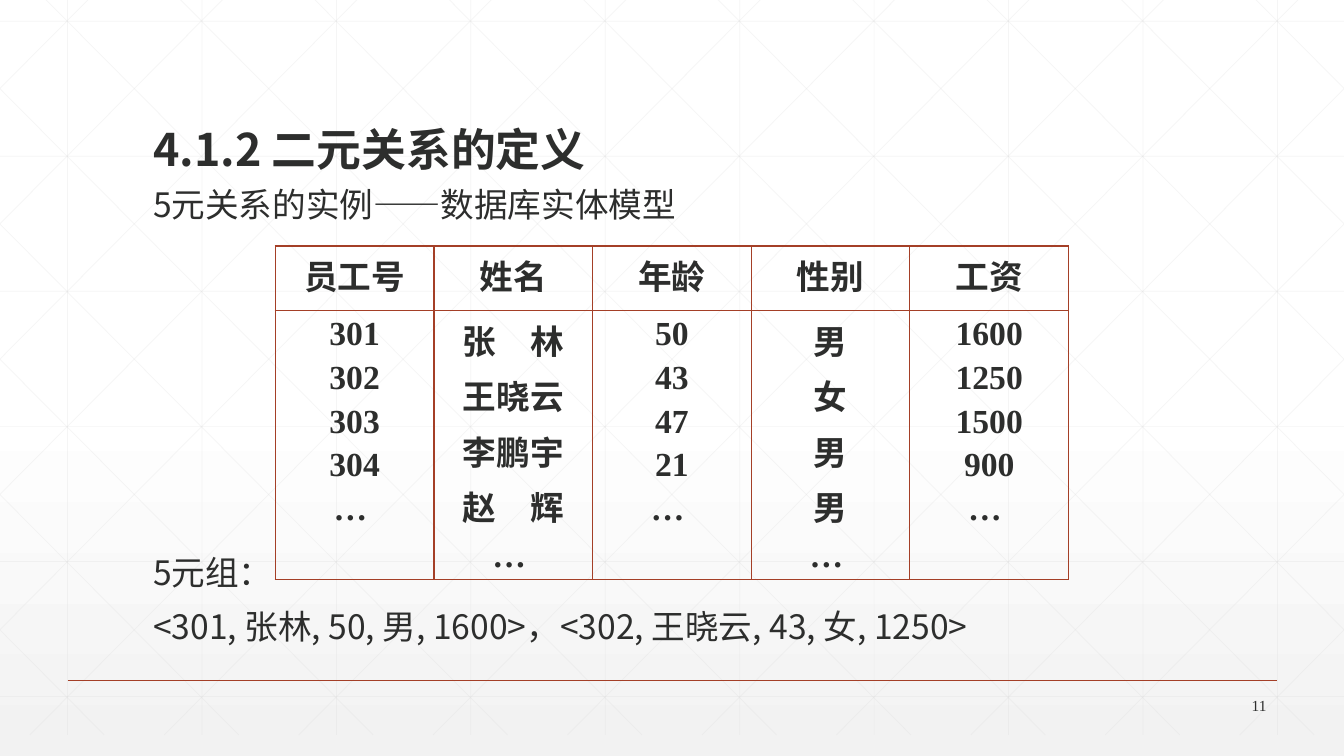
from copy import deepcopy

from lxml.etree import SubElement
from pptx import Presentation
from pptx.dml.color import RGBColor
from pptx.enum.shapes import MSO_CONNECTOR as Connector
from pptx.enum.text import MSO_ANCHOR as Anchor, PP_ALIGN as Align
from pptx.oxml.ns import qn
from pptx.util import Inches, Pt

INK, RUST, GRID = "2D2E2D", "A43F27", "D9D9D9"
SANS, SERIF = "Noto Sans CJK SC", "Times New Roman"


def add_line(x1, y1, x2, y2, color, width):
    line = page.shapes.add_connector(
        Connector.STRAIGHT, Inches(x1), Inches(y1), Inches(x2), Inches(y2))
    line.line.color.rgb = RGBColor.from_string(color)
    line.line.width = Pt(width)
    SubElement(line._element.spPr, qn("a:effectLst"))
    return line


def add_span(para, text, size, font, bold=False):
    """Add one run, with Chinese characters always in the sans font."""
    span = para.add_run()
    span.text = text
    span.font.size = Pt(size)
    span.font.bold = bold
    span.font.color.rgb = RGBColor.from_string(INK)
    span.font.name = font
    SubElement(span._r.rPr, qn("a:ea"), typeface=SANS)


deck = Presentation()
deck.slide_width, deck.slide_height = Inches(13.33), Inches(7.5)
page = deck.slides.add_slide(deck.slide_layouts[6])

# Background: white, fading to light grey at the bottom
backdrop = page.background.fill
backdrop.gradient()
backdrop.gradient_angle = 270
first_stop = next(page._element.iter(qn("a:gs")))
first_stop.addnext(deepcopy(first_stop))
for stop, (position, color) in zip(
        backdrop.gradient_stops, [(0, "FFFFFF"), (0.53, "FFFFFF"), (1, "F2F2F2")]):
    stop.position = position
    stop.color.rgb = RGBColor.from_string(color)

# Faint grid: verticals, horizontals and mirrored diagonals cut at the page sides
WIDTH, TOP, BOTTOM, STEP = 13.33, -0.21, 7.29, 4 / 3
SLOPE = 7.5 / 7.45
grid = [(0.67 + STEP * i, TOP, 0.67 + STEP * i, BOTTOM) for i in range(10)]
grid += [(0, 0.21 + 1.34 * i, WIDTH, 0.21 + 1.34 * i) for i in range(6)]
for i in range(-5, 10):
    start = 0.25 + STEP * i
    left, right = max(start, 0), min(start + 7.45, WIDTH)
    y1, y2 = (TOP + (x - start) * SLOPE for x in (left, right))
    grid += [(left, y1, right, y2), (WIDTH - left, y1, WIDTH - right, y2)]
for ends in grid:
    line = add_line(*ends, GRID, 0.5)
    tint = next(line._element.iter(qn("a:srgbClr")))
    SubElement(tint, qn("a:alpha"), val="25000")

add_line(0.67, 6.75, 12.67, 6.75, RUST, 1)

# Employee table
HEADERS = ["员工号", "姓名", "年龄", "性别", "工资"]
COLUMNS = [
    ["301", "302", "303", "304", "… "],
    ["张　林", "王晓云", "李鹏宇", "赵　辉", "… "],
    ["50", "43", "47", "21", "… "],
    ["男", "女", "男", "男", "… "],
    ["1600", "1250", "1500", "900", "… "],
]
table = page.shapes.add_table(
    2, 5, Inches(2.73), Inches(2.44), Inches(7.87), Inches(3.07)).table
table.first_row = table.horz_banding = False
table.rows[0].height, table.rows[1].height = Inches(0.64), Inches(2.43)
for column, (header, values) in enumerate(zip(HEADERS, COLUMNS)):
    for row, lines in enumerate([[header], values]):
        cell = table.cell(row, column)
        for number, text in enumerate(lines):
            paras = cell.text_frame
            para = paras.add_paragraph() if number else paras.paragraphs[0]
            para.alignment = Align.CENTER
            if number:
                para.space_before = Pt(4.8)
            add_span(para, text, 24, SERIF, bold=True)
        props = cell._tc.get_or_add_tcPr()
        for side in ("a:lnL", "a:lnR", "a:lnT", "a:lnB"):
            border = SubElement(props, qn(side), w=str(Pt(1)))
            fill = SubElement(border, qn("a:solidFill"))
            SubElement(fill, qn("a:srgbClr"), val=RUST)
        cell.fill.background()

# Text boxes: place, anchor, alignment, line spacing, paragraphs of spans
TEXTS = [
    ((1.42, 0.55, 10.5, 1.25), Anchor.BOTTOM, Align.LEFT, 0.9,
     [[("4.1.2 ", 32, SANS, True), ("二元关系的定义", 32, "Arial", True)]]),
    ((1.42, 1.82, 10.5, 0.5), Anchor.TOP, Align.LEFT, 0.9,
     [[("5元关系的实例——数据库实体模型", 24, SANS)]]),
    ((1.42, 5.47, 10.5, 1.13), Anchor.TOP, Align.LEFT, 0.9,
     [[("5元组：", 24, SANS)],
      [("<301, 张林, 50, 男, 1600>，<302, 王晓云, 43, 女, 1250>", 24, SANS)]]),
    ((11.66, 6.88, 1, 0.24), Anchor.MIDDLE, Align.RIGHT, 1,
     [[("11", 11, SERIF)]]),
]
for place, anchor, alignment, spacing, paragraphs in TEXTS:
    box = page.shapes.add_textbox(*map(Inches, place))
    frame = box.text_frame
    frame.word_wrap = True
    frame.vertical_anchor = anchor
    for number, spans in enumerate(paragraphs):
        para = frame.add_paragraph() if number else frame.paragraphs[0]
        para.alignment = alignment
        para.line_spacing = spacing
        if number:
            para.space_before = Pt(12.5)
        for span in spans:
            add_span(para, *span)

deck.save("out.pptx")
